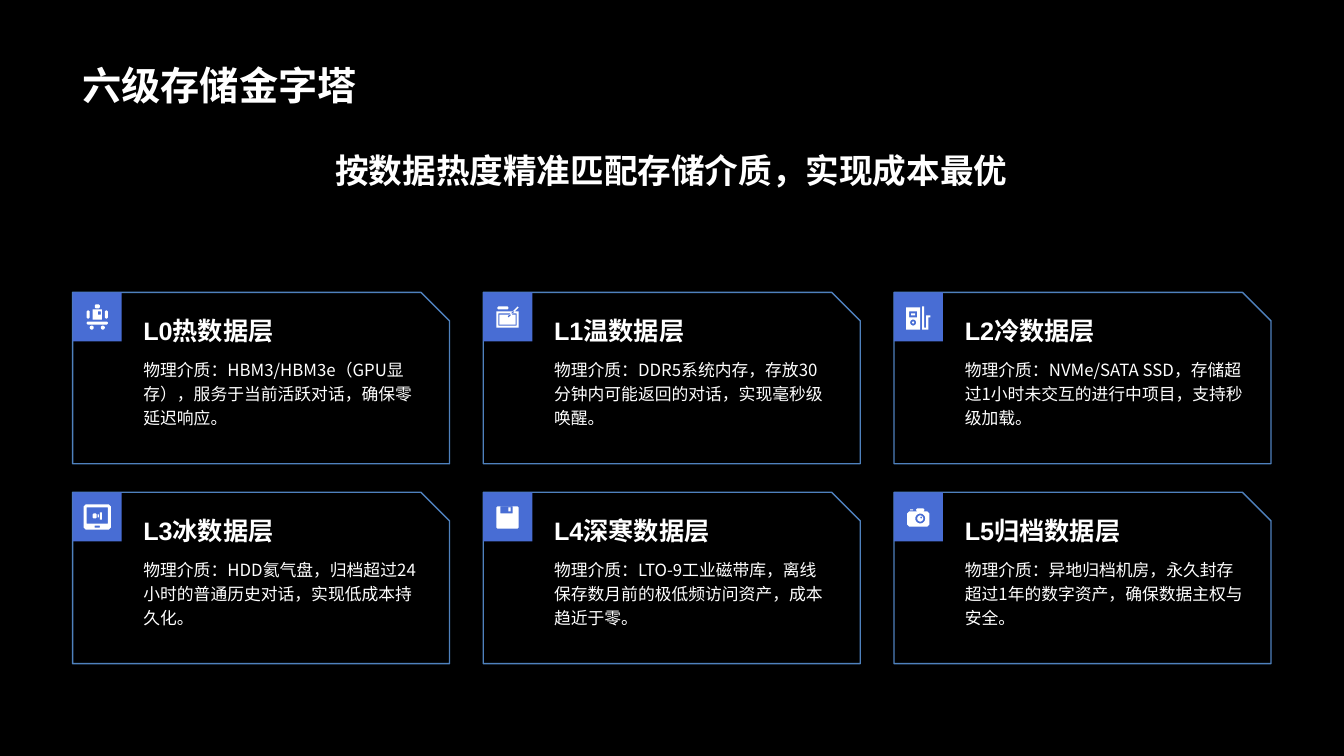
from math import cos, radians, sin

from lxml import etree
from pptx import Presentation
from pptx.dml.color import RGBColor
from pptx.enum.shapes import MSO_SHAPE
from pptx.enum.text import MSO_ANCHOR, PP_ALIGN
from pptx.oxml.ns import qn
from pptx.util import Inches, Pt

BLACK = RGBColor(0x00, 0x00, 0x00)
WHITE = RGBColor(0xFF, 0xFF, 0xFF)
BADGE_BLUE = RGBColor(0x48, 0x6D, 0xD4)
OUTLINE_BLUE = RGBColor(0x4F, 0x81, 0xBD)
CJK_FONT = "Noto Sans CJK SC"
LATIN_FONT = "Arial"
RECTANGLE = MSO_SHAPE.RECTANGLE
SNIPPED = MSO_SHAPE.SNIP_1_RECTANGLE
TOP, BOTTOM = MSO_ANCHOR.TOP, MSO_ANCHOR.BOTTOM
LEFT, CENTER = PP_ALIGN.LEFT, PP_ALIGN.CENTER

# Card grid, in percent of slide width and height
CARD_COLUMNS = 3
CARD_LEFT, CARD_TOP = 5.4, 38.67
COLUMN_STEP, ROW_STEP = 30.56, 26.45
CARD_WIDTH, CARD_HEIGHT = 28.05, 22.67
BADGE_WIDTH, BADGE_HEIGHT = 3.65, 6.5
TEXT_INDENT, TEXT_WIDTH = 4.53, 22.2

# Icons are laid out in hundredths of an inch from the badge corner
ICON_UNITS_PER_INCH = 100
ICON_PRECISION = 10
BADGE_SPAN = 49


def box(left, top, right, bottom, cut=0):
    """A rectangle, its four corners cut off when cut is given."""
    if not cut:
        return [(left, top), (right, top), (right, bottom), (left, bottom)]
    return [(left + cut, top), (right - cut, top), (right, top + cut),
            (right, bottom - cut), (right - cut, bottom), (left + cut, bottom),
            (left, bottom - cut), (left, top + cut)]


def disc(x, y, radius):
    return [(x + radius * cos(radians(angle)), y + radius * sin(radians(angle)))
            for angle in range(0, 360, 20)]


def pair(outline):
    """An outline and its mirror image across the badge's middle."""
    return [outline, [(BADGE_SPAN - x, y) for x, y in outline]]


# An outline inside another one is cut out of it
def robot_icon():
    wheels, arms = pair(disc(19, 35, 2)), pair(box(14, 18, 17, 26, cut=1))
    body, eye = box(20, 17, 29, 27), box(25, 19, 28, 22)
    head, base = box(22, 12, 27, 16, cut=1), box(14, 29, 35, 32, cut=1)
    return [*wheels, *arms, body, eye, head, base]


def tablet_icon():
    frame, rim, sheet = (box(13 + inset, 19 + inset, 35 - inset, 35 - inset)
                         for inset in (0, 2, 3))
    lid = box(14, 14, 25, 17, cut=1)
    pen = [(34, 14), (35, 15), (25, 25), (24, 24)]
    return [frame, rim, sheet, lid, pen]


def pump_icon():
    cabinet, screen, readout = box(12, 15, 26, 37), box(15, 19, 23, 25), box(17, 21, 21, 23)
    dial = [disc(19, 30, radius) for radius in (3, 1)]
    hose = [box(28, 14, 30, 37), box(30, 35, 32, 37), box(32, 23, 34, 37), box(34, 23, 36, 25)]
    return [cabinet, screen, readout, *dial, *hose]


def monitor_icon():
    casing, screen = box(11, 12, 38, 37, cut=2), box(14, 15, 35, 31)
    speaker, button = box(20, 21, 24, 26, cut=1), box(22, 33, 27, 35)
    waves = [box(25, 22, 26, 25), box(27, 20, 29, 27)]
    return [casing, screen, speaker, button, *waves]


def floppy_icon():
    casing, slot, shutter = box(13, 14, 35, 36, cut=1), box(17, 14, 29, 21), box(25, 15, 27, 19)
    return [casing, slot, shutter]


def camera_icon():
    body, finder = box(13, 19, 35, 34, cut=2), box(22, 16, 30, 19, cut=1)
    shutter_button, glint = box(16, 17, 19, 18), disc(27, 25, 1)
    lens = [disc(26, 26, radius) for radius in (5, 3)]
    return [body, finder, shutter_button, *lens, glint]


TIERS = [
    ("L0热数据层", "物理介质：HBM3/HBM3e（GPU显存），服务于当前活跃对话，确保零延迟响应。", robot_icon),
    ("L1温数据层", "物理介质：DDR5系统内存，存放30分钟内可能返回的对话，实现毫秒级唤醒。", tablet_icon),
    ("L2冷数据层", "物理介质：NVMe/SATA SSD，存储超过1小时未交互的进行中项目，支持秒级加载。", pump_icon),
    ("L3冰数据层", "物理介质：HDD氦气盘，归档超过24小时的普通历史对话，实现低成本持久化。", monitor_icon),
    ("L4深寒数据层", "物理介质：LTO-9工业磁带库，离线保存数月前的极低频访问资产，成本趋近于零。", floppy_icon),
    ("L5归档数据层", "物理介质：异地归档机房，永久封存超过1年的数字资产，确保数据主权与安全。", camera_icon),
]


class TierSlide:
    """Draws on one dark slide; lengths are percent of its width and height."""

    def __init__(self, presentation):
        self.width = presentation.slide_width
        self.height = presentation.slide_height
        slide = presentation.slides.add_slide(presentation.slide_layouts[6])
        self.shapes = slide.shapes
        background = slide.background.fill
        background.solid()
        background.fore_color.rgb = BLACK

    def area(self, left, top, width, height):
        return (round(self.width * left / 100), round(self.height * top / 100),
                round(self.width * width / 100), round(self.height * height / 100))

    def paint(self, shape, fill, line=None, alpha=None):
        shape.shadow.inherit = False
        shape.fill.solid()
        shape.fill.fore_color.rgb = fill
        if alpha is not None:
            color = shape.fill._xPr.find(qn("a:solidFill"))[0]
            etree.SubElement(color, qn("a:alpha"), val=str(alpha * 1000))
        if line is None:
            shape.line.fill.background()
        else:
            shape.line.color.rgb = line
            shape.line.width = Pt(1)

    def panel(self, kind, bounds, fill, line=None, alpha=None):
        shape = self.shapes.add_shape(kind, *self.area(*bounds))
        self.paint(shape, fill, line, alpha)

    def text(self, bounds, words, size, bold=False, font=CJK_FONT,
             anchor=TOP, align=LEFT, spacing=None):
        text_frame = self.shapes.add_textbox(*self.area(*bounds)).text_frame
        text_frame.word_wrap = True
        text_frame.vertical_anchor = anchor
        text_frame.text = words
        paragraph = text_frame.paragraphs[0]
        paragraph.alignment = align
        paragraph.line_spacing = spacing
        run = paragraph.runs[0]
        run.font.size = Pt(size)
        run.font.bold = bold
        run.font.color.rgb = WHITE
        run.font.name = font
        etree.SubElement(run.font._element, qn("a:ea"), typeface=CJK_FONT)

    def icon(self, left, top, outlines):
        scale = Inches(1) / ICON_UNITS_PER_INCH / ICON_PRECISION
        contours = [[(x * ICON_PRECISION, y * ICON_PRECISION) for x, y in outline]
                    for outline in outlines]
        builder = self.shapes.build_freeform(*contours[0][0], scale=scale)
        for number, (start, *others) in enumerate(contours):
            if number:
                builder.move_to(*start)
            builder.add_line_segments(others, close=True)
        origin = self.area(left, top, 0, 0)[:2]
        self.paint(builder.convert_to_shape(*origin), WHITE)

    def card(self, column, row, heading, description, draw_icon):
        left = CARD_LEFT + column * COLUMN_STEP
        top = CARD_TOP + row * ROW_STEP
        text_left = left + TEXT_INDENT
        self.panel(SNIPPED, (left, top, CARD_WIDTH, CARD_HEIGHT),
                   BLACK, OUTLINE_BLUE, alpha=45)
        self.panel(RECTANGLE, (left, top, BADGE_WIDTH, BADGE_HEIGHT), BADGE_BLUE)
        self.icon(left, top, draw_icon())
        self.text((text_left, top + 1.25, TEXT_WIDTH, 6.4), heading, 18,
                  bold=True, font=LATIN_FONT, anchor=BOTTOM)
        self.text((text_left, top + 7.7, TEXT_WIDTH, 13.6), description, 12, spacing=1.2)


def main():
    presentation = Presentation()
    presentation.slide_width = Inches(13.33)
    presentation.slide_height = Inches(7.5)
    page = TierSlide(presentation)

    # Title and subtitle
    page.text((5.4, 1.87, 89.1, 13.07), "六级存储金字塔", 28, bold=True, anchor=BOTTOM)
    page.text((5.4, 19.2, 89.1, 11.2), "按数据热度精准匹配存储介质，实现成本最优", 24,
              bold=True, align=CENTER)

    # Storage tiers
    for index, tier in enumerate(TIERS):
        row, column = divmod(index, CARD_COLUMNS)
        page.card(column, row, *tier)

    presentation.save("out.pptx")


if __name__ == "__main__":
    main()
